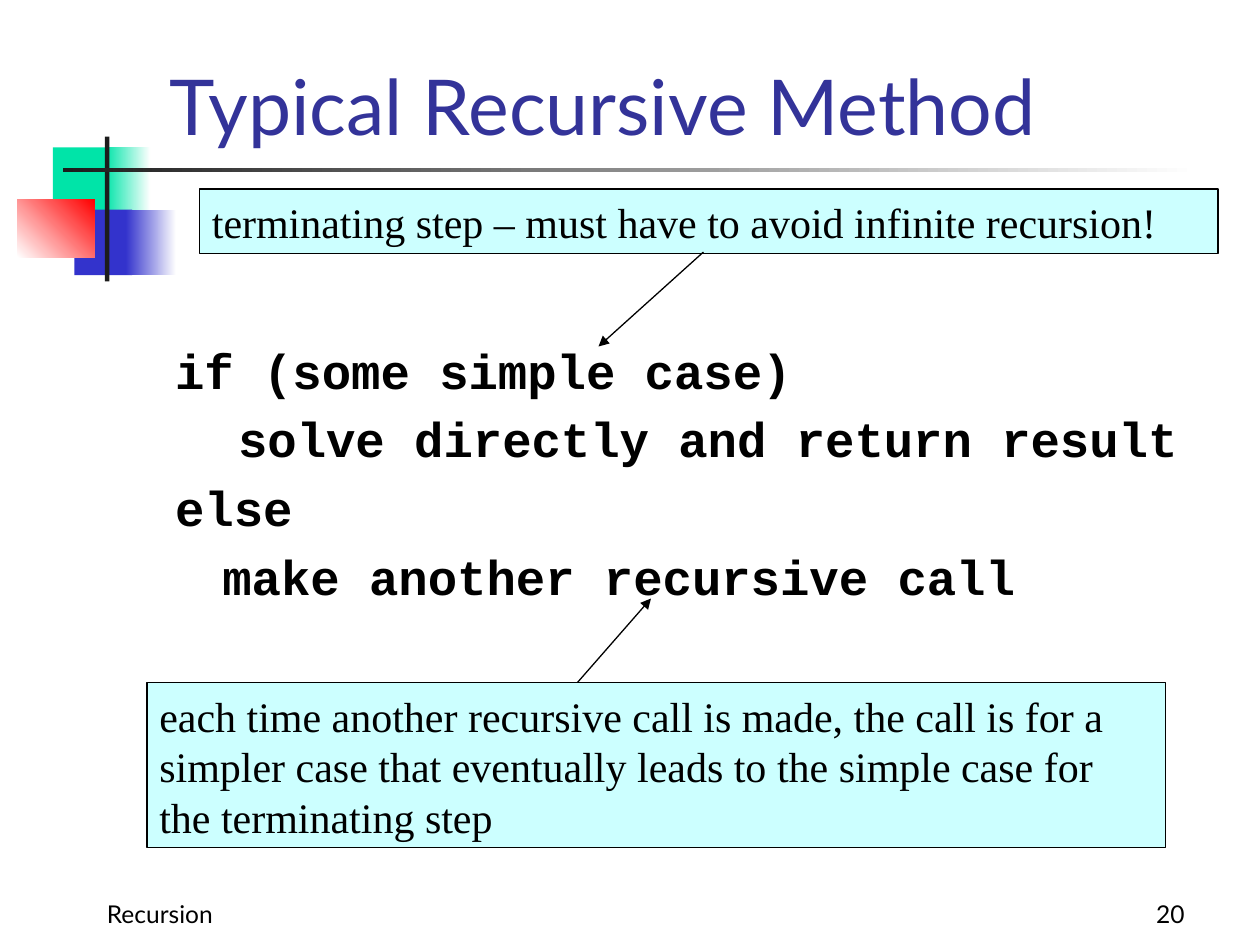
"""Build the slide on the shape of a typical recursive method."""
import pptx
import pptx.dml.color
import pptx.enum.dml
import pptx.enum.shapes
import pptx.enum.text
import pptx.oxml
import pptx.util
from lxml import etree

Pt = pptx.util.Pt
ANCHOR = pptx.enum.text.MSO_ANCHOR
ALIGN = pptx.enum.text.PP_ALIGN

DECORATION = [
    ((30.25, 84.25, 34.5, 37.5), ("00E4A8",), 0),
    ((60, 84.25, 26, 37.5), ("00E4A8", "FFFFFF"), 0),
    ((42.5, 119.75, 33, 37.5), ("3333CC",), 0),
    ((72, 119.75, 28.75, 37.5), ("3333CC", "FFFFFF"), 0),
    ((10, 113.75, 44, 33.25), ("FFFFFF", "FF0000"), 45),
    ((60, 78, 2.5, 82.75), ("1C1C1C",), 0),
    ((36, 96, 648, 2.25), ("1C1C1C", "FFFFFF"), 0),
]
LABELS = [
    ("Recursion", (54, 498, 228, 36), 14, "000000", ALIGN.LEFT),
    ("20", (534, 498, 150, 36), 14, "000000", ALIGN.RIGHT),
    ("Typical Recursive Method", (90, 0, 613.5, 90), 44, "333399", ALIGN.LEFT),
]
CODE_FRAME = (93, 186, 612, 296.5)
CODE_LINES = [
    ("if (some simple case)", 0),
    ("solve directly and return result", 36),
    ("else", 0),
    ("make another recursive call", 27),
]
CALLOUTS = [
    ("terminating step – must have to avoid infinite recursion!",
     (114, 108, 582, 36.75)),
    ("each time another recursive call is made, the call is for a simpler case "
     "that eventually leads to the simple case for the terminating step",
     (84, 390, 582, 94.5)),
]
ARROWS = [(402, 144, 342, 198), (330, 390, 372, 342)]


def color(value):
    return pptx.dml.color.RGBColor.from_string(value)


def points(values):
    return [Pt(value) for value in values]


def style(para, size, name, value="000000", bold=False):
    para.font.size = Pt(size)
    para.font.name = name
    para.font.bold = bold
    para.font.color.rgb = color(value)


def add_rectangle(page, frame, fills, angle=0):
    shape = page.shapes.add_shape(
        pptx.enum.shapes.MSO_SHAPE.RECTANGLE, *points(frame))
    shape.shadow.inherit = False
    shape.line.fill.background()
    if len(fills) == 1:
        shape.fill.solid()
        shape.fill.fore_color.rgb = color(fills[0])
    else:
        shape.fill.gradient()
        shape.fill.gradient_angle = angle
        for stop, value in zip(shape.fill.gradient_stops, fills):
            stop.color.rgb = color(value)
    return shape


def add_label(page, text, frame, size, value, align):
    box = page.shapes.add_textbox(*points(frame))
    box.text_frame.word_wrap = True
    box.text_frame.vertical_anchor = ANCHOR.BOTTOM
    para = box.text_frame.paragraphs[0]
    para.text = text
    para.alignment = align
    style(para, size, "Lato", value)


def add_code(page):
    box = page.shapes.add_textbox(*points(CODE_FRAME))
    box.text_frame.word_wrap = True
    box.text_frame.margin_top = Pt(8.5)
    for index, (text, indent) in enumerate(CODE_LINES):
        para = (box.text_frame.add_paragraph() if index
                else box.text_frame.paragraphs[0])
        para.text = text
        para.line_spacing = Pt(33.6)
        para.space_before = Pt(5.6 if index else 0)
        para._p.get_or_add_pPr().set("marL", str(Pt(indent)))
        style(para, 28, "Courier New", bold=True)


def add_callout(page, text, frame):
    box = add_rectangle(page, frame, ("CCFFFF",))
    box.line.color.rgb = color("000000")
    box.line.width = Pt(0.75)
    box.text_frame.word_wrap = True
    box.text_frame.vertical_anchor = ANCHOR.TOP
    box.text_frame.margin_top = Pt(4.5)
    para = box.text_frame.paragraphs[0]
    para.text = text
    para.alignment = ALIGN.LEFT
    para.line_spacing = Pt(28.8)
    style(para, 24, "Times New Roman")


def add_arrow(page, ends):
    arrow = page.shapes.add_connector(
        pptx.enum.shapes.MSO_CONNECTOR.STRAIGHT, *points(ends))
    arrow.line.color.rgb = color("000000")
    arrow.line.width = Pt(0.75)
    head = etree.SubElement(
        arrow.line._get_or_add_ln(), pptx.oxml.ns.qn("a:tailEnd"))
    head.set("type", "triangle")
    etree.SubElement(arrow._element.spPr, pptx.oxml.ns.qn("a:effectLst"))


def main():
    deck = pptx.Presentation()
    deck.slide_width, deck.slide_height = Pt(720), Pt(540)
    page = deck.slides.add_slide(deck.slide_layouts[6])
    for frame, fills, angle in DECORATION:
        add_rectangle(page, frame, fills, angle)
    for label in LABELS:
        add_label(page, *label)
    add_code(page)
    for (text, frame), ends in zip(CALLOUTS, ARROWS):
        add_callout(page, text, frame)
        add_arrow(page, ends)
    deck.save("out.pptx")


if __name__ == "__main__":
    main()
